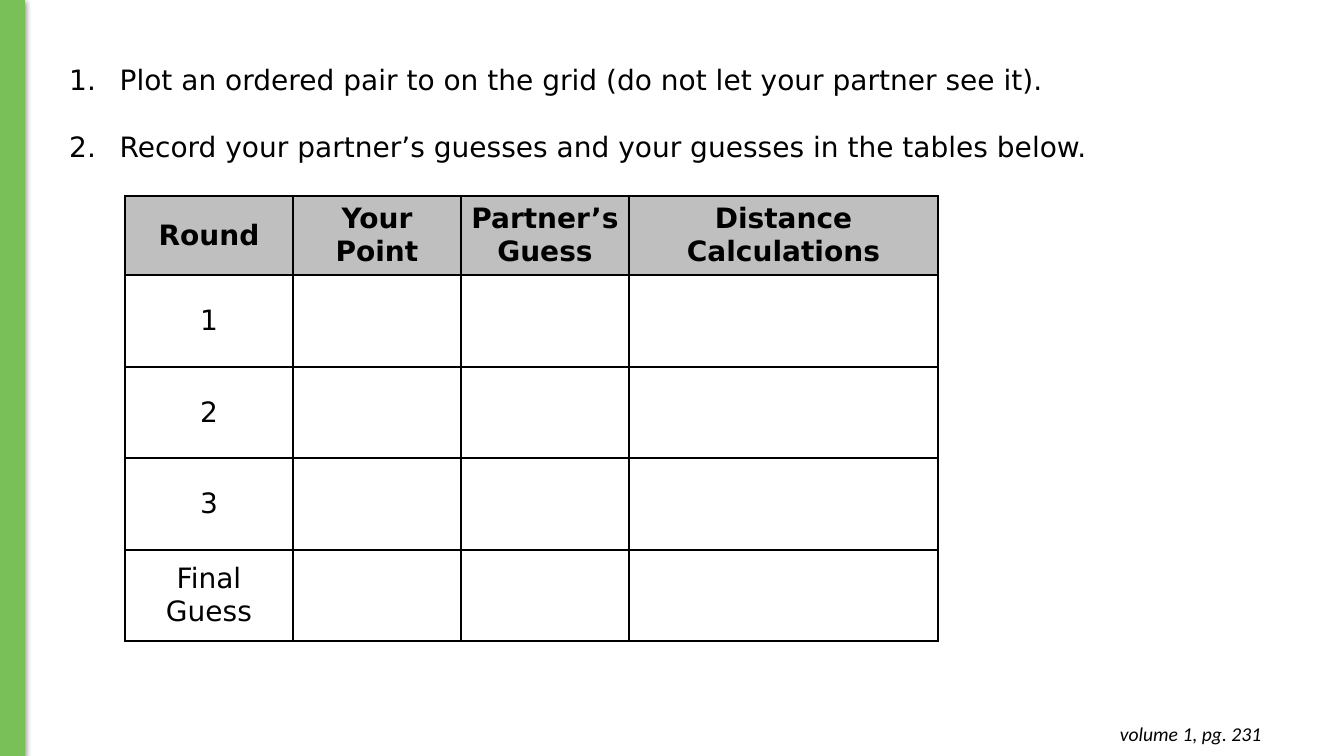
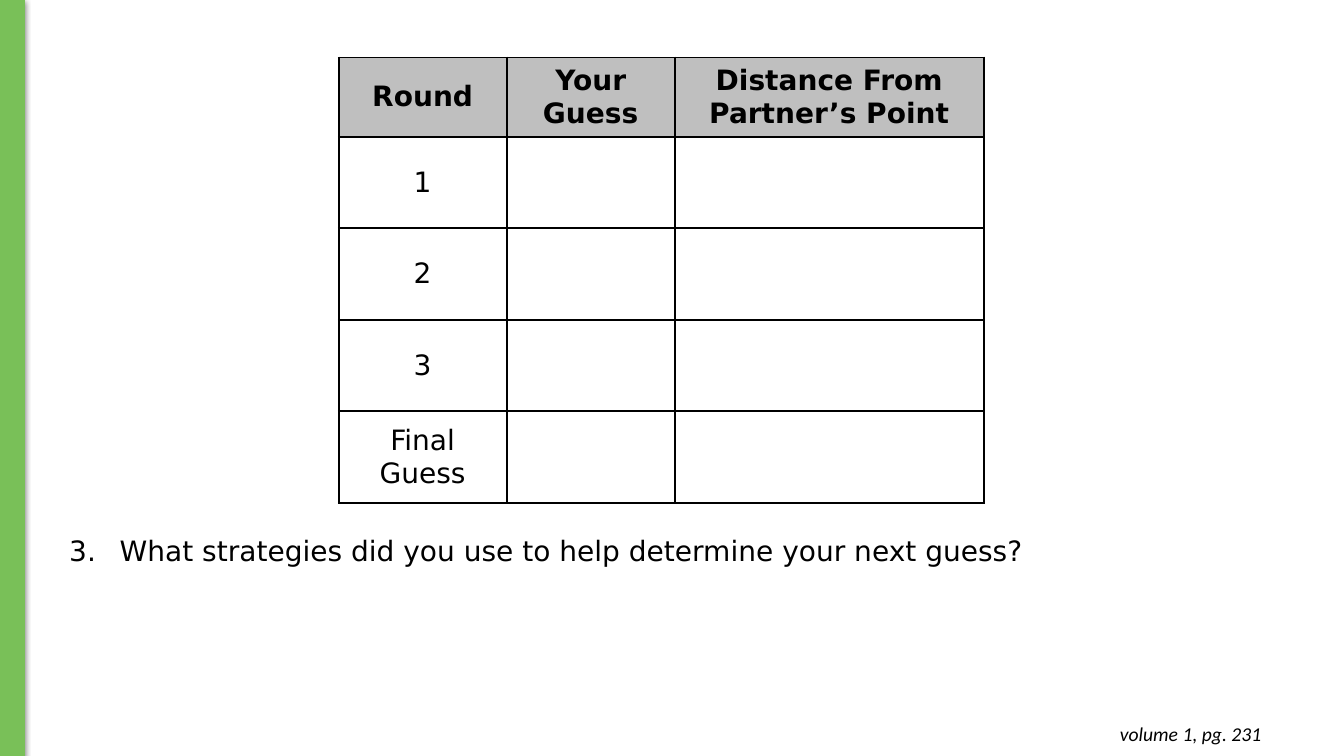
from dataclasses import dataclass

from lxml import etree
from pptx import Presentation
from pptx.dml.color import RGBColor
from pptx.enum.shapes import MSO_SHAPE as SHAPE
from pptx.enum.text import MSO_ANCHOR as ANCHOR, MSO_AUTO_SIZE as AUTO_SIZE, PP_ALIGN as ALIGN
from pptx.oxml import parse_xml
from pptx.oxml.ns import nsdecls, qn
from pptx.util import Inches, Pt


@dataclass(frozen=True)
class Theme:
    green: str = "79C058"
    gray: str = "BFBFBF"
    black: str = "000000"
    body_font: str = "DejaVu Sans"
    footer_font: str = "Calibri"
    body_size: int = 20
    footer_size: int = 14
    border: float = 1.5


theme = Theme()
BLACK = RGBColor.from_string(theme.black)

prs = Presentation()
prs.slide_width, prs.slide_height = Inches(13.33), Inches(7.5)


def across(percent):
    """Length as a percentage of the slide's width."""
    return int(prs.slide_width * percent / 100)


def down(percent):
    """Length as a percentage of the slide's height."""
    return int(prs.slide_height * percent / 100)


NARROW, WIDE = 12.5, 23
HEADER_ROW, ROUND_ROW = 10.5, 12.1
ROUNDS = ["1", "2", "3", "Final\vGuess"]
FOOTER = "volume 1, pg. 231"

pages = [
    {
        "headers": ["Round", "Your Point", "Partner’s Guess", "Distance Calculations"],
        "table_at": (9.3, 25.9),
        "steps": [
            "Plot an ordered pair to on the grid (do not let your partner see it).",
            "Record your partner’s guesses and your guesses in the tables below.",
        ],
        "first_step": 1,
        "list_rows": (7.6, 14.8),
    },
    {
        "headers": ["Round", "Your Guess", "Distance From Partner’s Point"],
        "table_at": (25.2, 7.6),
        "steps": ["What strategies did you use to help determine your next guess?"],
        "first_step": 3,
        "list_rows": (69.9, 5.9),
    },
]

for page in pages:
    s = prs.slides.add_slide(prs.slide_layouts[1])
    title = s.shapes.title
    title.element.getparent().remove(title.element)

    # Green side band with a soft shadow
    band = s.shapes.add_shape(SHAPE.RECTANGLE, 0, 0, across(1.8), down(100))
    band.fill.solid()
    band.fill.fore_color.rgb = RGBColor.from_string(theme.green)
    band.line.color.rgb = RGBColor.from_string(theme.green)
    band.line.width = Pt(0.75)
    band.shadow.inherit = False
    band.element.spPr.find(qn("a:effectLst")).append(parse_xml(
        f'<a:outerShdw {nsdecls("a")} blurRad="{Pt(4.5)}" dist="{Pt(1.5)}" dir="5400000">'
        f'<a:srgbClr val="{theme.black}"><a:alpha val="50000"/></a:srgbClr></a:outerShdw>'))

    # Score table
    headers = page["headers"]
    widths = [NARROW] * (len(headers) - 1) + [WIDE]
    heights = [HEADER_ROW] + [ROUND_ROW] * len(ROUNDS)
    left, top = page["table_at"]
    table = s.shapes.add_table(len(heights), len(widths), across(left), down(top),
                               across(sum(widths)), down(sum(heights))).table
    table.first_row = table.horz_banding = False
    for column, width in zip(table.columns, widths):
        column.width = across(width)
    for row, height in zip(table.rows, heights):
        row.height = down(height)
    for cell in table.iter_cells():
        cell.vertical_anchor = ANCHOR.MIDDLE
        cell.margin_left = cell.margin_right = Inches(0.08)
        for side in ("lnL", "lnR", "lnT", "lnB"):
            cell._tc.get_or_add_tcPr().append(parse_xml(
                f'<a:{side} {nsdecls("a")} w="{Pt(theme.border)}"><a:solidFill>'
                f'<a:srgbClr val="{theme.black}"/></a:solidFill></a:{side}>'))
        cell.fill.background()
    for c, header in enumerate(headers):
        cell = table.cell(0, c)
        cell.text = header
        cell.fill.solid()
        cell.fill.fore_color.rgb = RGBColor.from_string(theme.gray)
    for r, label in enumerate(ROUNDS, start=1):
        table.cell(r, 0).text = label
    for i, cell in enumerate(table.iter_cells()):
        p = cell.text_frame.paragraphs[0]
        p.alignment = ALIGN.CENTER
        for run in p.runs:
            run.font.name, run.font.size = theme.body_font, Pt(theme.body_size)
            run.font.color.rgb = BLACK
            run.font.bold = i < len(headers)

    # Page reference
    footer = s.shapes.add_textbox(across(73), down(94.1), across(21.6), down(5.9))
    tf = footer.text_frame
    tf.word_wrap = True
    tf.margin_top = tf.margin_bottom = Inches(0.1)
    tf.text = FOOTER
    p = tf.paragraphs[0]
    p.alignment = ALIGN.RIGHT
    font = p.runs[0].font
    font.name, font.size, font.italic = theme.footer_font, Pt(theme.footer_size), True
    font.color.rgb = BLACK

    # Numbered instructions
    body = s.placeholders[1]
    top, height = page["list_rows"]
    body.left, body.top = across(4.4), down(top)
    body.width, body.height = across(90.8), down(height)
    tf = body.text_frame
    tf.auto_size = AUTO_SIZE.NONE
    tf.text = "\n".join(page["steps"])
    for i, p in enumerate(tf.paragraphs):
        pPr = p._p.get_or_add_pPr()
        pPr.set("marL", str(Inches(0.5)))
        pPr.set("indent", str(-Inches(0.5)))
        color = etree.SubElement(pPr, qn("a:buClr"))
        etree.SubElement(color, qn("a:srgbClr"), val=theme.black)
        etree.SubElement(pPr, qn("a:buFontTx"))
        etree.SubElement(pPr, qn("a:buAutoNum"), type="arabicPeriod",
                         startAt=str(page["first_step"]))
        p.space_before = Pt(24 if i else 0)
        font = p.runs[0].font
        font.name, font.size = theme.body_font, Pt(theme.body_size)
        font.color.rgb = BLACK

prs.save("out.pptx")
